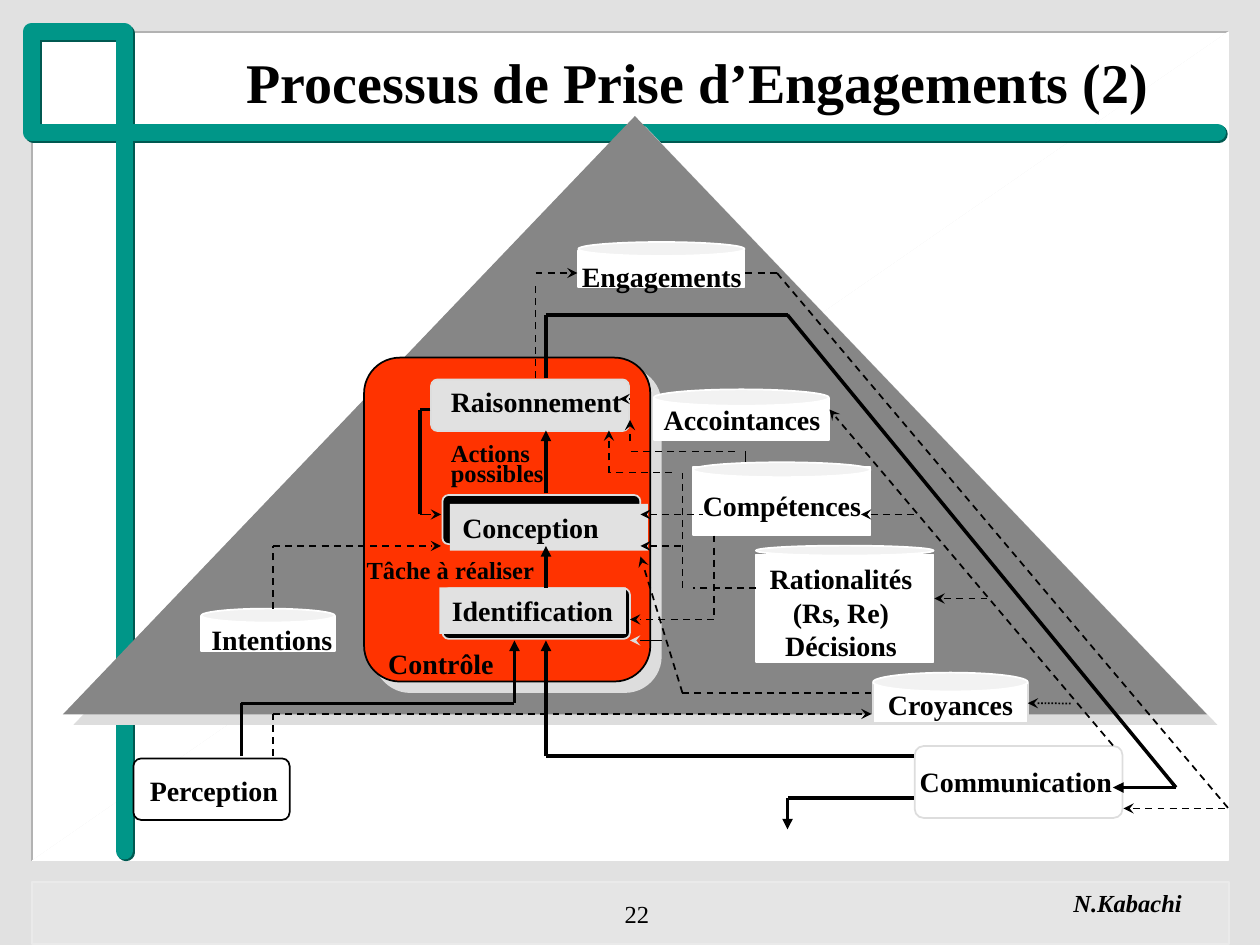
from dataclasses import dataclass

from pptx import Presentation
from pptx import util as u
from pptx.dml.color import RGBColor
from pptx.enum import dml, shapes, text
from pptx.oxml.ns import qn
from lxml import etree


@dataclass(frozen=True)
class Theme:
    """Colours, font and type sizes of the slide."""
    font: str = "Times New Roman"
    title: int = 32
    label: int = 16
    note: int = 14
    ink: str = "000000"
    paper: str = "FFFFFF"
    backdrop: str = "E1E1E1"
    footer: str = "E5E5E5"
    footer_edge: str = "EAEAEA"
    frame_edge: str = "B2B2B2"
    pale: str = "DDDDDD"
    lid: str = "F2F2F2"
    teal: str = "009688"
    teal_shade: str = "005951"
    pyramid: str = "868686"
    control: str = "FF3300"


T = Theme()
SHAPE = shapes.MSO_SHAPE
ALIGN = text.PP_ALIGN
DASH = dml.MSO_LINE.DASH
DOT = dml.MSO_LINE.ROUND_DOT
GRID = 2.54 / 12

STORES = [
    # name lines, left, width, lid top, lid height, body top, body height, label box, edge
    (["Accointances"], 13.18, 3.53, 7.85, 0.33, 8.03, 0.84, (13.13, 8, 3.68, 0.94), T.paper),
    (["Croyances"], 17.6, 3.12, 13.56, 0.38, 13.77, 0.81, (17.65, 13.74, 3.05, 0.94), T.pale),
    (["Engagements"], 11.66, 3.35, 4.88, 0.28, 5.05, 0.74, (11.48, 5.11, 3.73, 0.94), T.paper),
    (["Rationalités", "(Rs, Re)", "Décisions"], 15.24, 3.58, 11, 0.2, 11.18, 2.16,
     (15.19, 11.2, 3.53, 2.29), T.paper),
    (["Compétences"], 13.97, 3.58, 9.32, 0.3, 9.42, 1.37, (13.92, 9.73, 3.71, 0.94), T.paper),
    (["Intentions"], 4.06, 2.69, 12.27, 0.28, 12.42, 0.71, (4.01, 12.42, 2.95, 0.94), T.paper),
]

PLATES = [
    ((2.69, 15.29, 3.15, 1.24), T.paper, T.ink),
    ((18.44, 15.04, 4.19, 1.45), T.paper, T.pale),
    ((8.92, 11.86, 3.78, 1.02), T.ink, T.pale),
    ((8.69, 7.65, 3.99, 1.04), T.backdrop, T.pale),
    ((8.92, 9.98, 3.99, 0.99), T.ink, T.pale),
]

CAPTIONS = [
    (["Perception"], (2.77, 15.47, 3.1, 0.94), {}),
    (["Communication"], (18.29, 15.29, 4.39, 0.94), {}),
    (["Identification"], (8.86, 11.84, 3.76, 0.94), {"fill": T.backdrop}),
    (["Raisonnement"], (8.84, 7.62, 3.96, 0.94), {}),
    (["Conception"], (9.07, 10.16, 3.99, 0.94), {"fill": T.backdrop}),
    (["Contrôle"], (7.57, 12.9, 2.64, 0.94), {"para": {"alignment": ALIGN.CENTER}}),
    (["Tâche à réaliser"], (7.14, 11.07, 3.89, 0.84), {"size": T.note}),
    (["Actions", "possibles"], (8.84, 8.86, 2.39, 1.09),
     {"size": T.note, "para": {"line_spacing": 0.7}}),
    (["N.Kabachi"], (21.39, 17.78, 2.69, 0.86), {"size": T.note, "italic": True}),
    (["22"], (12.27, 17.78, 1.07, 1.27),
     {"size": T.note, "bold": False, "para": {"alignment": ALIGN.RIGHT},
      "anchor": text.MSO_ANCHOR.MIDDLE}),
]

FLOW = {"width": u.Pt(2)}
THIN = {"width": u.Pt(1)}
DASHED = {**THIN, "dash_style": DASH}
LINKS = [
    (FLOW, T.ink, {}, [
        (75, 30, 112, 75), (52, 36, 52, 30), (52, 30, 75, 30), (23, 72, 23, 67),
        (23, 67, 49, 67), (87, 72, 52, 72), (41, 39, 40, 39), (40, 49, 40, 39),
        (87, 76, 75, 76)]),
    (FLOW, T.ink, {"tailEnd": "triangle"}, [
        (52, 56, 52, 52), (52, 47, 52, 41), (49, 67, 49, 61), (52, 72, 52, 61),
        (75, 76, 75, 79)]),
    (FLOW, T.ink, {"headEnd": "triangle"}, [(106, 75, 112, 75)]),
    (DASHED, T.pale, {"tailEnd": "stealth"}, [(62, 61, 60, 61)]),
    (THIN, T.ink, {}, [(71, 44, 71, 43), (61, 61, 63, 61)]),
    (THIN, T.ink, {"tailEnd": "stealth"}, [(60, 38, 59, 38), (40, 49, 42, 49)]),
    (DASHED, T.ink, {}, [
        (26, 72, 26, 68), (83, 66, 65, 66), (70, 43, 60, 43), (51, 36, 51, 27),
        (71, 26, 74, 26), (74, 26, 117, 77), (26, 58, 26, 52), (72, 56, 66, 56),
        (65, 56, 65, 45), (64, 45, 58, 45), (68, 51, 68, 59)]),
    (DASHED, T.ink, {"tailEnd": "stealth"}, [
        (106, 71, 79, 39), (26, 68, 83, 68), (58, 45, 58, 41), (51, 26, 55, 26),
        (26, 52, 42, 52), (60, 42, 60, 40), (65, 66, 61, 53), (68, 59, 60, 59)]),
    (DASHED, T.ink, {"headEnd": "stealth"}, [
        (89, 57, 94, 57), (61, 49, 67, 49), (107, 77, 117, 77), (61, 52, 65, 52),
        (82, 49, 87, 49)]),
]


def apply(target, values):
    """Set every named value on the target."""
    for name, value in values.items():
        setattr(target, name, value)


def cm(values):
    """Turn centimetre numbers into lengths."""
    return [u.Cm(value) for value in values]


def paint(shape, fill=None, edge=None, width=1):
    """Give a shape its fill and edge, and no shadow."""
    for part, colour in ((shape.fill, fill), (shape.line.fill, edge)):
        if colour:
            part.solid()
            part.fore_color.rgb = RGBColor.from_string(colour)
        else:
            part.background()
    if edge:
        shape.line.width = u.Pt(width)
    shape.shadow.inherit = False
    return shape


def add_box(slide, kind, box, fill, edge=None):
    """Add a painted preset shape."""
    return paint(slide.shapes.add_shape(kind, *cm(box)), fill, edge)


def add_path(slide, points, fill, edge, width=1):
    """Add an open outline through the points."""
    start, *rest = [cm(point) for point in points]
    builder = slide.shapes.build_freeform(*start, scale=1.0)
    builder.add_line_segments(rest, close=False)
    return paint(builder.convert_to_shape(), fill, edge, width)


def cast_shadow(shape, colour, distance):
    """Add a hard shadow falling to the lower right."""
    effects = shape.element.spPr.find(qn("a:effectLst"))
    shade = etree.SubElement(effects, qn("a:outerShdw"), blurRad="0",
                             dist=str(u.Pt(distance)), dir="2700000", algn="ctr", rotWithShape="0")
    etree.SubElement(shade, qn("a:srgbClr"), val=colour)


def write(frame, lines, size=T.label, bold=True, italic=False, para=None):
    """Write one paragraph for each line in the slide's font."""
    for index, line in enumerate(lines):
        paragraph = frame.add_paragraph() if index else frame.paragraphs[0]
        apply(paragraph, para or {})
        run = paragraph.add_run()
        run.text = line
        apply(run.font, {"name": T.font, "size": u.Pt(size), "bold": bold, "italic": italic})
        run.font.color.rgb = RGBColor.from_string(T.ink)


def add_caption(slide, lines, box, fill=None, anchor=text.MSO_ANCHOR.TOP, **style):
    """Add an unwrapped label, with a ground colour if given."""
    label = slide.shapes.add_textbox(*cm(box))
    if fill:
        paint(label, fill)
    apply(label.text_frame, {"word_wrap": False, "vertical_anchor": anchor})
    write(label.text_frame, lines, **style)


def add_store(slide, lines, left, width, lid_top, lid_height, top, height, label, edge):
    """Add a labelled knowledge store and return its body."""
    body = add_box(slide, SHAPE.RECTANGLE, (left, top, width, height), T.paper, edge)
    add_box(slide, SHAPE.OVAL, (left, lid_top, width, lid_height), T.lid, T.paper)
    para = {"alignment": ALIGN.CENTER} if len(lines) > 1 else None
    add_caption(slide, lines, label, para=para)
    return body


def add_link(slide, ends, style, colour, arrows):
    """Add a straight link between two grid points."""
    link = slide.shapes.add_connector(shapes.MSO_CONNECTOR.STRAIGHT, *cm(end * GRID for end in ends))
    link.line.color.rgb = RGBColor.from_string(colour)
    apply(link.line, style)
    properties = link.element.spPr
    for end, head in arrows.items():
        etree.SubElement(properties.find(qn("a:ln")), qn(f"a:{end}"), type=head)
    etree.SubElement(properties, qn("a:effectLst"))
    return link


def add_frame(slide):
    """Draw the white page, the footer band and the teal bars."""
    left, top, right, bottom = 0.64, 0.64, 24.75, 17.35
    add_path(slide, [(right, top), (left, top), (left, bottom)], T.paper, T.frame_edge)
    add_path(slide, [(right, top), (right, bottom), (left, bottom)], T.paper, T.paper)
    add_box(slide, SHAPE.RECTANGLE, (left, 17.78, 24.13, 1.25), T.footer, T.footer_edge)
    bars = add_path(slide, [(2.51, 17.15), (2.51, top), (left, top), (left, 2.67), (24.54, 2.67)],
                    None, T.teal, 10)
    stroke = bars.element.spPr.find(qn("a:ln"))
    stroke.set("cap", "rnd")
    etree.SubElement(stroke, qn("a:round"))
    cast_shadow(bars, T.teal_shade, 1.4)


def add_title(slide, words):
    """Place the title in front of the frame."""
    title = slide.shapes.title
    apply(title, dict(zip(("left", "top", "width", "height"), cm((4.72, 0.84, 19.5, 1.6)))))
    apply(title.text_frame, {"word_wrap": True, "auto_size": text.MSO_AUTO_SIZE.NONE,
                             "vertical_anchor": text.MSO_ANCHOR.TOP})
    write(title.text_frame, [words], T.title, para={"alignment": ALIGN.LEFT})
    title.element.getparent().append(title.element)


def main():
    """Build the slide and save it."""
    deck = Presentation()
    apply(deck, {"slide_width": u.Cm(25.4), "slide_height": u.Cm(19.05)})
    slide = deck.slides.add_slide(deck.slide_layouts[5])
    slide.background.fill.solid()
    slide.background.fill.fore_color.rgb = RGBColor.from_string(T.backdrop)

    add_frame(slide)
    pyramid = add_box(slide, SHAPE.ISOSCELES_TRIANGLE, (1.27, 2.34, 23.06, 12.06), T.pyramid)
    control = add_box(slide, SHAPE.ROUNDED_RECTANGLE, (7.34, 7.21, 5.77, 6.53), T.control, T.ink)
    control.adjustments[0] = 0.125
    for shape in (pyramid, control):
        cast_shadow(shape, T.pale, 8.5)
    for box, fill, edge in PLATES:
        add_box(slide, SHAPE.ROUNDED_RECTANGLE, box, fill, edge).adjustments[0] = 0.125
    bodies = {store[0][0]: add_store(slide, *store) for store in STORES}
    for lines, box, style in CAPTIONS:
        add_caption(slide, lines, box, **style)
    for style, colour, arrows, routes in LINKS:
        for ends in routes:
            add_link(slide, ends, style, colour, arrows)
    belief = add_link(slide, (98, 67, 102, 67), {**THIN, "dash_style": DOT}, T.ink,
                      {"headEnd": "stealth"})
    belief.begin_connect(bodies["Croyances"], 3)
    add_title(slide, "Processus de Prise d’Engagements (2)")
    deck.save("out.pptx")


if __name__ == "__main__":
    main()
